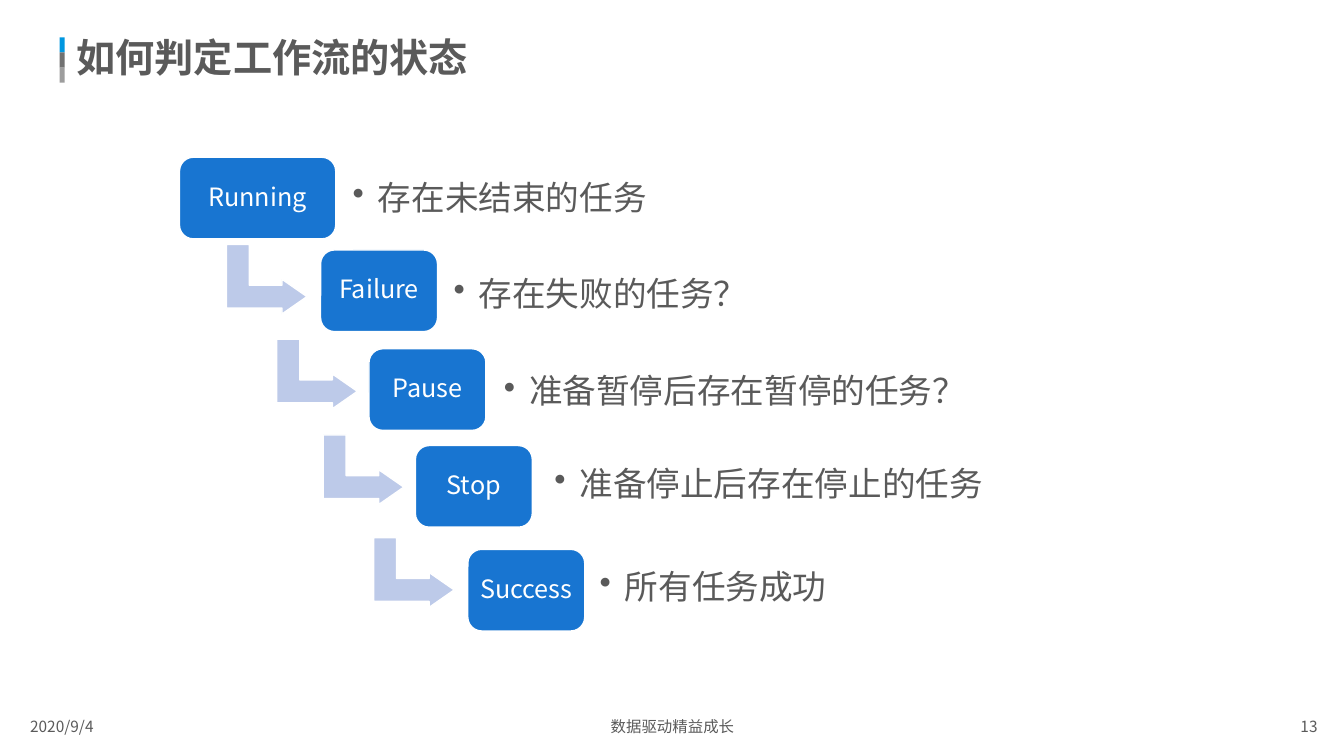
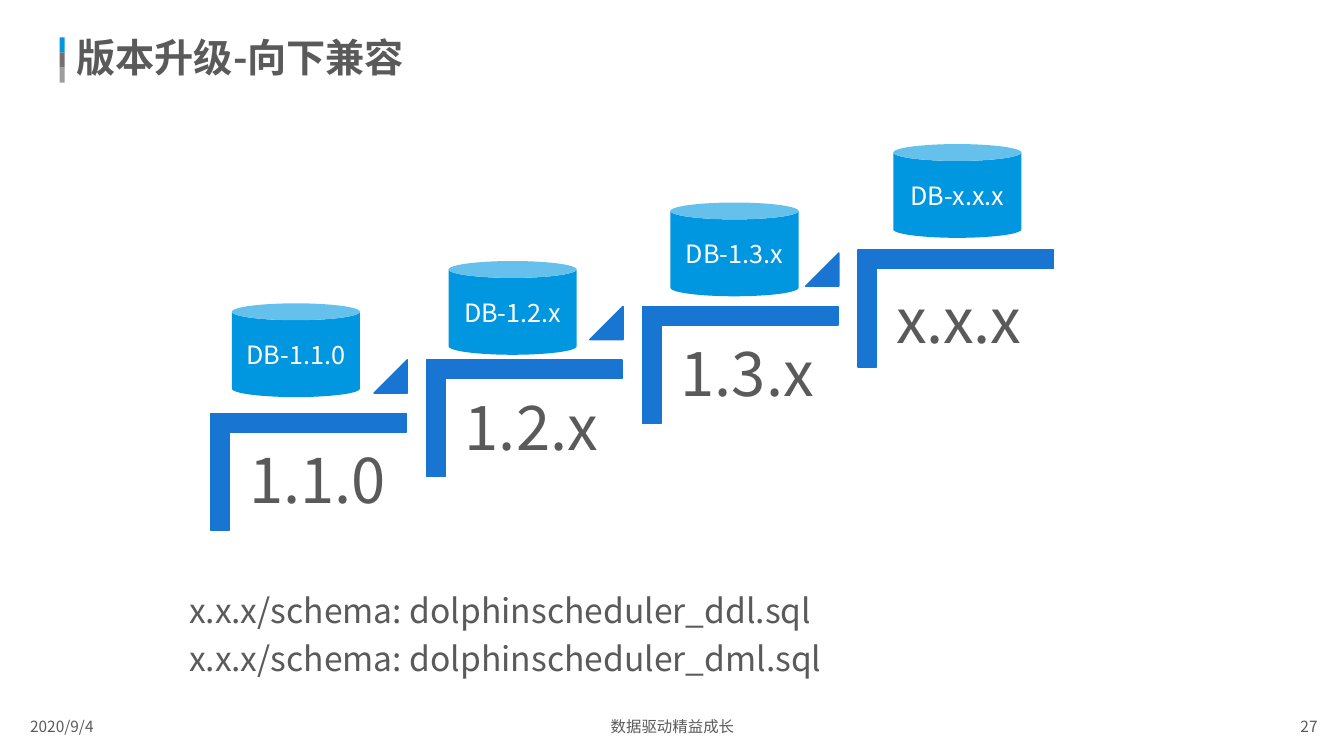
"""Build two slides: how a workflow's state is decided, and backward-compatible version upgrades."""
from lxml import etree
from pptx import Presentation
from pptx import util as u
from pptx.dml.color import RGBColor
from pptx.enum import shapes, text
from pptx.oxml import ns

FONT = "Noto Sans CJK SC"
INK = RGBColor(0x5A, 0x5A, 0x5A)
WHITE = RGBColor(0xFF, 0xFF, 0xFF)
SKY = RGBColor(0x00, 0x97, 0xE0)
BLUE = RGBColor(0x18, 0x75, 0xD1)
PALE = RGBColor(0xBD, 0xCA, 0xE9)
STRIPES = [SKY, RGBColor(0x71, 0x71, 0x71), RGBColor(0x9D, 0x9D, 0x9D)]
MSO, ALIGN, ANCHOR = shapes.MSO_SHAPE, text.PP_ALIGN, text.MSO_ANCHOR


def write(part, lines, size, color=INK, bold=False, bullet=False, paragraph_format=None, **frame_format):
    """Fill a shape or text box with evenly styled paragraphs."""
    frame = part.text_frame
    frame.word_wrap = True
    for name, value in frame_format.items():
        setattr(frame, name, value)
    frame.text = "\n".join(lines)
    for paragraph in frame.paragraphs:
        if bullet:
            props = paragraph._p.get_or_add_pPr()
            props.set("marL", str(u.Inches(0.25)))
            props.set("indent", str(u.Inches(-0.25)))
            etree.SubElement(props, ns.qn("a:buChar")).set("char", "•")
        for name, value in (paragraph_format or {}).items():
            setattr(paragraph, name, value)
        run = paragraph.runs[0]
        for name, value in {"size": u.Pt(size), "bold": bold, "name": FONT}.items():
            setattr(run.font, name, value)
        run.font.color.rgb = color
        etree.SubElement(run._r.get_or_add_rPr(), ns.qn("a:ea")).set("typeface", FONT)


def draw(slide, kind, left, top, width, height, fill, line=None, adjustments=(), rotation=0):
    """Add a flat preset shape, with a 1 pt outline when a line colour is given."""
    shape = slide.shapes.add_shape(kind, *map(u.Inches, (left, top, width, height)))
    shape.shadow.inherit = False
    shape.rotation = rotation
    shape.fill.solid()
    shape.fill.fore_color.rgb = fill
    if line is None:
        shape.line.fill.background()
    else:
        shape.line.color.rgb = line
        shape.line.width = u.Pt(1)
    for index, value in enumerate(adjustments):
        shape.adjustments[index] = value
    return shape


deck = Presentation()
deck.slide_width, deck.slide_height = u.Inches(13.33), u.Inches(7.5)

pages = []
for title, number in [("如何判定工作流的状态", "13"), ("版本升级-向下兼容", "27")]:
    page = deck.slides.add_slide(deck.slide_layouts[6])
    for row, stripe in enumerate(STRIPES):
        draw(page, MSO.RECTANGLE, 0.59, 0.37 + 0.15 * row, 0.05, 0.15, stripe)
    for left, width, label, align in [
        (0.2, 1.51, "2020/9/4", ALIGN.LEFT),
        (12.8, 0.67, number, ALIGN.LEFT),
        (4.26, 4.82, "数据驱动精益成长", ALIGN.CENTER),
    ]:
        footer = page.shapes.add_textbox(*map(u.Inches, (left, 7.07, width, 0.3)))
        write(footer, [label], 11, paragraph_format={"alignment": align})
    heading = page.shapes.add_textbox(*map(u.Inches, (0.66, 0.36, 11.5, 0.47)))
    write(heading, [title], 28, bold=True, vertical_anchor=ANCHOR.MIDDLE,
          paragraph_format={"line_spacing": 0.9})
    pages.append(page)

states_page, versions_page = pages

for left, top in [(2.3, 2.37), (2.8, 3.31), (3.26, 4.26), (3.76, 5.28)]:
    draw(states_page, MSO.BENT_UP_ARROW, left, top, 0.69, 0.8, PALE, WHITE, (0.33, 0.25, 0.36), 90)

for state, left, top, width, rule, rule_left, rule_top in [
    ("Running", 1.78, 1.56, 1.55, "存在未结束的任务", 3.4, 1.65),
    ("Failure", 3.18, 2.48, 1.16, "存在失败的任务？", 4.4, 2.6),
    ("Pause", 3.66, 3.46, 1.16, "准备暂停后存在暂停的任务？", 4.9, 3.57),
    ("Stop", 4.12, 4.42, 1.16, "准备停止后存在停止的任务", 5.4, 4.49),
    ("Success", 4.64, 5.45, 1.16, "所有任务成功", 5.85, 5.51),
]:
    state_box = draw(states_page, MSO.ROUNDED_RECTANGLE, left, top, width, 0.81, BLUE, WHITE, (0.17,))
    write(state_box, [state], 18, WHITE, vertical_anchor=ANCHOR.MIDDLE,
          margin_left=u.Inches(0.05), margin_right=u.Inches(0.05),
          paragraph_format={"alignment": ALIGN.CENTER, "line_spacing": 0.9})
    rule_box = states_page.shapes.add_textbox(*map(u.Inches, (rule_left, rule_top, 5.7, 0.66)))
    write(rule_box, [rule], 24, bullet=True, vertical_anchor=ANCHOR.MIDDLE,
          paragraph_format={"line_spacing": 0.9})

STEP_X, STEP_Y = 2.14, 0.53
STEP_MARGINS = {f"margin_{side}": u.Inches(0.18) for side in ("left", "top", "right", "bottom")}
versions = [("1.1.0", 3.71, 2.3, 3.01), ("1.2.x", 3.18, 4.45, 2.59),
            ("1.3.x", 2.65, 6.65, 2.01), ("x.x.x", 2.09, 8.86, 1.43)]
for step, (version, stair_top, database_left, database_top) in enumerate(versions):
    across, rise = STEP_X * step, STEP_Y * step
    draw(versions_page, MSO.CORNER, 2.48 + across, stair_top, 1.16, 1.94, BLUE, BLUE, (0.16, 0.16), 90)
    version_label = versions_page.shapes.add_textbox(
        *map(u.Inches, (2.29 + across, 4.29 - rise, 1.75, 1.53)))
    write(version_label, [version], 44, paragraph_format={"line_spacing": 0.9}, **STEP_MARGINS)
    if step < len(versions) - 1:
        draw(versions_page, MSO.ISOSCELES_TRIANGLE, 3.71 + across, 3.57 - rise, 0.33, 0.33, BLUE, BLUE, (1,))
    database = draw(versions_page, MSO.CAN, database_left, database_top, 1.27, 0.93, SKY, adjustments=(0.18,))
    write(database, [f"DB-{version}"], 18, WHITE, vertical_anchor=ANCHOR.MIDDLE,
          paragraph_format={"alignment": ALIGN.CENTER})

scripts = versions_page.shapes.add_textbox(*map(u.Inches, (1.78, 5.72, 7.08, 1.03)))
write(scripts, [f"x.x.x/schema: dolphinscheduler_{kind}.sql" for kind in ("ddl", "dml")], 24,
      paragraph_format={"alignment": ALIGN.JUSTIFY, "line_spacing": 1.2})

deck.save("out.pptx")
